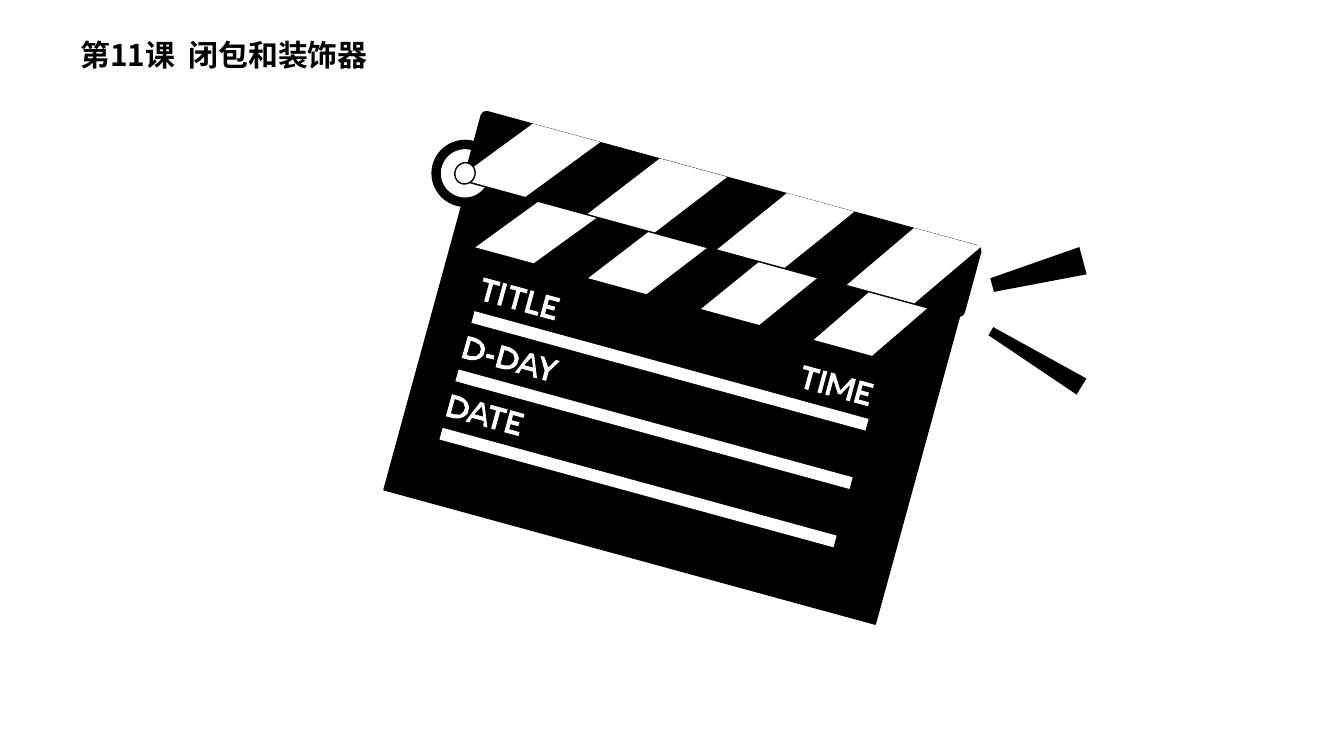
from dataclasses import dataclass
from math import cos, radians, sin

from lxml.etree import SubElement
from pptx import Presentation
from pptx.dml.color import RGBColor
from pptx.enum.shapes import MSO_SHAPE
from pptx.enum.text import MSO_ANCHOR, MSO_AUTO_SIZE, PP_ALIGN
from pptx.oxml.ns import qn
from pptx.shapes.base import BaseShape
from pptx.slide import Slide
from pptx.util import Inches, Pt

Point = tuple[float, float]
Outline = list[Point]

WIDTH = 10
HEIGHT = WIDTH * 9 / 16
FONT = "Noto Sans CJK SC"
COLORS = {"ink": "000000", "paper": "FFFFFF", "seam": "ECECEC", "edge": "565757"}
HINGE = (3.49, 1.33)
BOARD_TILT, CLAPPER_TILT = 15.3, 23.2
BOARD_WIDTH, BOARD_HEIGHT = 3.79, 2.4
MARGIN, ROW_TOP, ROW_PITCH, BAR_DROP = 0.3, 0.68, 0.45, 0.26


@dataclass
class Glyph:
    advance: float
    outlines: list[Outline]


@dataclass
class Label:
    word: str
    left: float
    row: int


@dataclass
class StripeRow:
    tilt: float
    bottom: float
    top: float
    bottom_start: float
    top_start: float
    bottom_pitch: float
    top_pitch: float
    width: float


@dataclass
class Ray:
    center: Point
    width: float
    length: float
    angle: float


def rectangle(left: float, top: float, width: float, height: float) -> Outline:
    right, bottom = left + width, top + height
    return [(left, top), (right, top), (right, bottom), (left, bottom)]


GLYPHS = {
    "T": Glyph(0.15, [[(0, 0), (0.13, 0), (0.13, 0.03), (0.08, 0.03), (0.08, 0.17),
                       (0.05, 0.17), (0.05, 0.03), (0, 0.03)]]),
    "I": Glyph(0.06, [rectangle(0, 0, 0.03, 0.17)]),
    "L": Glyph(0.12, [[(0, 0), (0.03, 0), (0.03, 0.14), (0.1, 0.14), (0.1, 0.17), (0, 0.17)]]),
    "E": Glyph(0.13, [[(0, 0), (0.11, 0), (0.11, 0.03), (0.03, 0.03), (0.03, 0.07), (0.09, 0.07),
                       (0.09, 0.1), (0.03, 0.1), (0.03, 0.14), (0.11, 0.14), (0.11, 0.17), (0, 0.17)]]),
    "D": Glyph(0.15, [[(0, 0), (0.06, 0), (0.1, 0.01), (0.13, 0.03), (0.15, 0.06), (0.15, 0.11),
                       (0.13, 0.14), (0.1, 0.16), (0.06, 0.17), (0, 0.17)],
                      [(0.03, 0.03), (0.03, 0.14), (0.06, 0.14), (0.1, 0.13), (0.12, 0.1),
                       (0.12, 0.07), (0.1, 0.04), (0.06, 0.03)]]),
    "A": Glyph(0.15, [[(0, 0.17), (0.07, 0), (0.1, 0), (0.17, 0.17), (0.14, 0.17), (0.13, 0.13),
                       (0.04, 0.13), (0.03, 0.17)],
                      [(0.05, 0.1), (0.12, 0.1), (0.09, 0.03)]]),
    "Y": Glyph(0.15, [[(0, 0), (0.03, 0), (0.08, 0.07), (0.12, 0), (0.15, 0), (0.09, 0.1),
                       (0.09, 0.17), (0.06, 0.17), (0.06, 0.1)]]),
    "M": Glyph(0.22, [[(0, 0), (0.03, 0), (0.1, 0.11), (0.16, 0), (0.19, 0), (0.19, 0.17),
                       (0.16, 0.17), (0.16, 0.05), (0.11, 0.14), (0.09, 0.14), (0.03, 0.05),
                       (0.03, 0.17), (0, 0.17)]]),
    "-": Glyph(0.11, [rectangle(0.02, 0.09, 0.06, 0.03)]),
}
LABELS = [Label("TITLE", MARGIN, 0), Label("D-DAY", MARGIN, 1),
          Label("DATE", MARGIN, 2), Label("TIME", 2.77, 0)]
LOWER_STRIPES = StripeRow(BOARD_TILT, 0.48, 0.02, 0.18, 0.55, 0.87, 0.85, 0.45)
UPPER_STRIPES = StripeRow(CLAPPER_TILT, 0.02, -0.52, -0.08, 0.35, 1.0, 0.98, 0.52)
RAYS = [Ray((7.72, 2.03), 0.21, 0.7, 255), Ray((7.71, 2.67), 0.14, 0.79, 301.4)]


def turn(point: Point, angle: float) -> Point:
    x, y = point
    c, s = cos(radians(angle)), sin(radians(angle))
    return x * c - y * s, x * s + y * c


def on_slide(point: Point) -> Point:
    x, y = turn(point, BOARD_TILT)
    return HINGE[0] + x, HINGE[1] + y


def paint(shape: BaseShape, fill: str, line: float = 0) -> BaseShape:
    shape.shadow.inherit = False
    shape.fill.solid()
    shape.fill.fore_color.rgb = RGBColor.from_string(COLORS[fill])
    if line:
        shape.line.color.rgb = RGBColor.from_string(COLORS["ink"])
        shape.line.width = Pt(line)
        SubElement(shape.line._get_or_add_ln(), qn("a:round"))
    else:
        shape.line.fill.background()
    return shape


def draw_outlines(page: Slide, outlines: list[Outline], fill: str,
                  tilt: float = BOARD_TILT, line: float = 0) -> BaseShape:
    level = [[turn(on_slide(point), -tilt) for point in outline] for outline in outlines]
    paths = [[(Inches(x), Inches(y)) for x, y in outline] for outline in level]
    builder = page.shapes.build_freeform(*paths[0][0])
    builder.add_line_segments(paths[0][1:], close=True)
    for path in paths[1:]:
        builder.move_to(*path[0])
        builder.add_line_segments(path[1:], close=True)
    shape = builder.convert_to_shape()
    half_width, half_height = shape.width / 2, shape.height / 2
    x, y = turn((shape.left + half_width, shape.top + half_height), tilt)
    shape.left, shape.top = int(x - half_width), int(y - half_height)
    shape.rotation = tilt
    return paint(shape, fill, line)


def draw_preset(page: Slide, kind: MSO_SHAPE, center: Point, width: float, height: float,
                angle: float, fill: str, line: float = 0) -> BaseShape:
    shape = page.shapes.add_shape(kind, Inches(center[0] - width / 2), Inches(center[1] - height / 2),
                                  Inches(width), Inches(height))
    shape.rotation = angle
    return paint(shape, fill, line)


def draw_strip(page: Slide, left: float, top: float, width: float, height: float, fill: str) -> BaseShape:
    center = on_slide((left + width / 2, top + height / 2))
    return draw_preset(page, MSO_SHAPE.RECTANGLE, center, width, height, BOARD_TILT, fill)


def draw_stripes(page: Slide, row: StripeRow) -> list[BaseShape]:
    shapes = []
    for index in range(4):
        bottom = row.bottom_start + index * row.bottom_pitch
        top = row.top_start + index * row.top_pitch
        outline = [(bottom + row.width, row.bottom), (bottom, row.bottom),
                   (top, row.top), (top + row.width, row.top)]
        shapes.append(draw_outlines(page, [outline], "paper", row.tilt))
    return shapes


def draw_label(page: Slide, label: Label) -> list[BaseShape]:
    shapes, left = [], label.left
    top = ROW_TOP + label.row * ROW_PITCH
    for letter in label.word:
        glyph = GLYPHS[letter]
        outlines = [[(left + x, top + y) for x, y in outline] for outline in glyph.outlines]
        shapes.append(draw_outlines(page, outlines, "paper"))
        left += glyph.advance
    return shapes


def draw_board(page: Slide) -> None:
    shapes = [
        draw_outlines(page, [rectangle(0, 0, BOARD_WIDTH, BOARD_HEIGHT)], "ink", line=0.75),
        draw_outlines(page, [[(0.31, 2.36), (3.75, 2.36)]], "edge"),
        draw_strip(page, 0, 0, BOARD_WIDTH, 0.52, "ink"),
        *draw_stripes(page, LOWER_STRIPES),
        draw_outlines(page, [[(0, 0.46), (BOARD_WIDTH, 0.46)]], "seam"),
    ]
    for row in range(3):
        shapes.append(draw_strip(page, MARGIN, ROW_TOP + BAR_DROP + row * ROW_PITCH, 3.04, 0.09, "paper"))
    for label in LABELS:
        shapes += draw_label(page, label)
    page.shapes.add_group_shape(shapes)


def draw_clapper(page: Slide) -> None:
    pivot = (3.46, 1.29)
    disc = draw_preset(page, MSO_SHAPE.OVAL, pivot, 0.43, 0.43, CLAPPER_TILT, "paper")
    ring = draw_preset(page, MSO_SHAPE.DONUT, pivot, 0.5, 0.5, CLAPPER_TILT, "ink")
    ring.adjustments[0] = 0.14
    arm = draw_outlines(page, [rectangle(0, -0.48, 3.78, 0.47)], "ink", CLAPPER_TILT, 6)
    stripes = draw_stripes(page, UPPER_STRIPES)
    pin = draw_preset(page, MSO_SHAPE.OVAL, pivot, 0.15, 0.16, CLAPPER_TILT, "paper", 0.75)
    page.shapes.add_group_shape([disc, ring, arm, *stripes, pin])


def write_title(page: Slide) -> None:
    title = page.shapes.title
    title.left, title.top = Inches(WIDTH * 0.05), Inches(HEIGHT * 0.04)
    title.width, title.height = Inches(WIDTH * 0.24), Inches(HEIGHT * 0.07)
    frame = title.text_frame
    frame.text = "第11课  闭包和装饰器"
    frame.word_wrap = True
    frame.auto_size = MSO_AUTO_SIZE.SHAPE_TO_FIT_TEXT
    frame.vertical_anchor = MSO_ANCHOR.TOP
    para = frame.paragraphs[0]
    para.alignment = PP_ALIGN.LEFT
    para.line_spacing = 1.0
    span = para.runs[0]
    span.font.size, span.font.bold, span.font.name = Pt(16), True, FONT
    span.font.color.rgb = RGBColor.from_string(COLORS["ink"])
    SubElement(span.font._element, qn("a:ea"), typeface=FONT)


def main() -> None:
    deck = Presentation()
    deck.slide_width, deck.slide_height = Inches(WIDTH), Inches(HEIGHT)
    page = deck.slides.add_slide(deck.slide_layouts[5])
    draw_board(page)
    draw_clapper(page)
    for ray in RAYS:
        draw_preset(page, MSO_SHAPE.TRAPEZOID, ray.center, ray.width, ray.length, ray.angle, "ink")
    write_title(page)
    deck.save("out.pptx")


if __name__ == "__main__":
    main()
